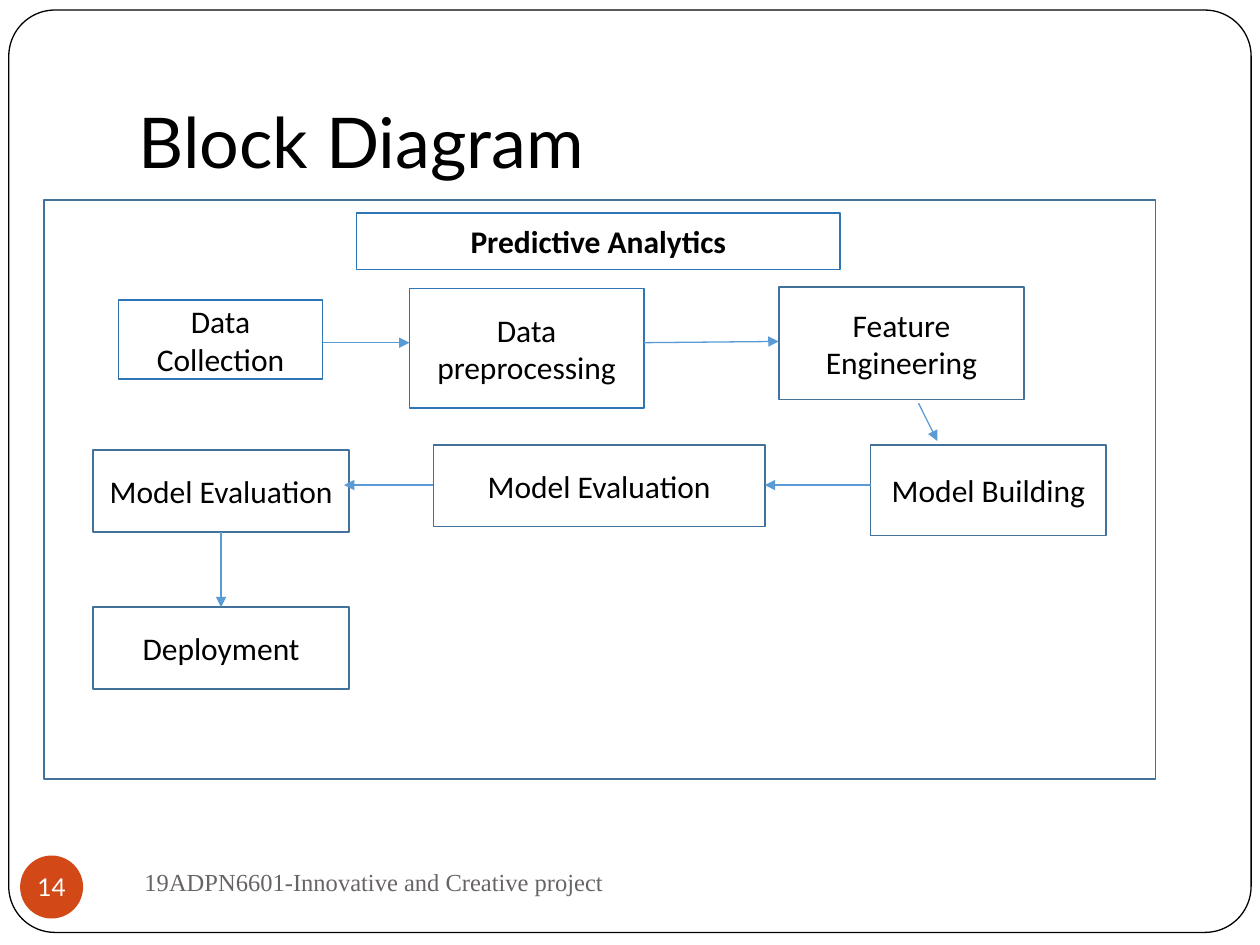
"""Build the block diagram slide of a predictive analytics workflow."""
from lxml.etree import SubElement
from pptx import Presentation
from pptx.dml.color import RGBColor
from pptx.enum.shapes import MSO_CONNECTOR as Link, MSO_SHAPE as Form
from pptx.enum.text import MSO_ANCHOR as Anchor, MSO_AUTO_SIZE as Fit, PP_ALIGN as Align
from pptx.oxml.ns import qn
from pptx.util import Inches, Pt

BLACK = RGBColor(0x00, 0x00, 0x00)
WHITE = RGBColor(0xFF, 0xFF, 0xFF)
BLUE = RGBColor(0x2E, 0x75, 0xB5)
STEEL = RGBColor(0x42, 0x71, 0x9B)
SKY = RGBColor(0x5B, 0x9B, 0xD5)
ORANGE = RGBColor(0xD3, 0x48, 0x17)
GREY = RGBColor(0x69, 0x64, 0x64)

COLUMNS, ROWS = 100, 75
WIDTH, HEIGHT = Inches(10), Inches(7.5)

TITLE = "Block Diagram"
FOOTER = " 19ADPN6601-Innovative and Creative project"
PAGE = "14"
HEADING = ("Predictive Analytics", (28.3, 16.9, 38.4, 4.5))
STAGES = {
    "collect": ("Data Collection", (9.4, 23.8, 16.2, 6.3), WHITE, BLUE),
    "prepare": ("Data preprocessing", (32.5, 22.9, 18.6, 9.5), WHITE, BLUE),
    "engineer": ("Feature Engineering", (61.8, 22.8, 19.5, 8.9), None, STEEL),
    "build": ("Model Building", (69.1, 35.3, 18.7, 7.2), WHITE, STEEL),
    "evaluate": ("Model Evaluation", (34.4, 35.3, 26.3, 6.5), None, STEEL),
    "review": ("Model Evaluation", (7.4, 35.7, 20.3, 6.5), None, STEEL),
    "deploy": ("Deployment", (7.4, 48.2, 20.3, 6.5), None, STEEL),
}
TOP_FLOW, LOWER_FLOW = 27.2, 38.5
RIGHTWARD = [("collect", "prepare", 0), ("prepare", "engineer", -0.1)]
LEFTWARD = [("build", "evaluate", 0), ("evaluate", "review", 0.4)]
TURN = ((72.9, 32), (74.4, 35))


def place(left, top, width, height):
    """Convert grid columns and rows to slide lengths."""
    across, down = WIDTH / COLUMNS, HEIGHT / ROWS
    return int(left * across), int(top * down), int(width * across), int(height * down)


def write(holder, text, *, font="Calibri", size=18, color=BLACK, bold=False,
          align=Align.CENTER, anchor=Anchor.MIDDLE, margins=(0.1, 0.05, 0.1, 0.05)):
    """Put formatted text into a shape."""
    frame = holder.text_frame
    frame.word_wrap = True
    frame.auto_size = Fit.NONE
    frame.vertical_anchor = anchor
    (frame.margin_left, frame.margin_top,
     frame.margin_right, frame.margin_bottom) = map(Inches, margins)
    paragraph = frame.paragraphs[0]
    paragraph.alignment = align
    run = paragraph.add_run()
    run.text = text
    run.font.name, run.font.size, run.font.bold = font, Pt(size), bold
    run.font.color.rgb = color


def add_block(slide, area, fill=None, line=None, form=Form.RECTANGLE, weight=1):
    """Add a flat shape with the given fill and outline."""
    block = slide.shapes.add_shape(form, *place(*area))
    block.shadow.inherit = False
    if fill is None:
        block.fill.background()
    else:
        block.fill.solid()
        block.fill.fore_color.rgb = fill
    if line is None:
        block.line.fill.background()
    else:
        block.line.color.rgb = line
        block.line.width = Pt(weight)
    return block


def add_arrow(slide, start, end):
    """Add a straight arrow between two grid points."""
    arrow = slide.shapes.add_connector(Link.STRAIGHT, *place(*start, *end))
    arrow.line.color.rgb = SKY
    arrow.line.width = Pt(0.75)
    properties = arrow._element.spPr
    SubElement(properties.find(qn("a:ln")), qn("a:tailEnd"), type="triangle")
    SubElement(properties, qn("a:effectLst"))


def add_flow(slide):
    """Link the stages in their working order."""
    areas = {key: stage[1] for key, stage in STAGES.items()}
    for source, target, rise in RIGHTWARD:
        left, _, width, _ = areas[source]
        add_arrow(slide, (left + width, TOP_FLOW), (areas[target][0], TOP_FLOW + rise))
    for source, target, overlap in LEFTWARD:
        left, _, width, _ = areas[target]
        add_arrow(slide, (areas[source][0], LOWER_FLOW),
                  (left + width - overlap, LOWER_FLOW))
    add_arrow(slide, *TURN)
    left, top, width, height = areas["review"]
    middle = left + width / 2
    add_arrow(slide, (middle, top + height), (middle, areas["deploy"][1]))


def main():
    """Assemble and save the slide."""
    deck = Presentation()
    deck.slide_width, deck.slide_height = WIDTH, HEIGHT
    slide = deck.slides.add_slide(deck.slide_layouts[5])

    border = add_block(slide, (0.7, 0.8, 98.6, 73.2), WHITE, BLACK,
                       Form.ROUNDED_RECTANGLE, 0.75)
    border.adjustments[0] = 0.05
    add_block(slide, (3.5, 15.9, 88.2, 45.9), line=STEEL)

    title = slide.shapes.title
    title.left, title.top, title.width, title.height = place(10, 3, 85, 12.5)
    write(title, TITLE, font="Lato", size=40, align=Align.LEFT,
          anchor=Anchor.BOTTOM, margins=(0.1, 0.05, 0.1, 0.1))
    slide.shapes._spTree.append(title._element)

    heading, area = HEADING
    write(add_block(slide, area, WHITE, BLUE), heading, bold=True)
    for label, area, fill, line in STAGES.values():
        write(add_block(slide, area, fill, line), label)
    add_flow(slide)

    badge = add_block(slide, (1.6, 67.9, 5, 5), ORANGE, form=Form.OVAL)
    write(badge, PAGE, font="Lato", size=14, color=WHITE, margins=(0, 0, 0, 0))
    footer = slide.shapes.add_textbox(*place(10, 67.5, 49.4, 5))
    write(footer, FOOTER, font="Times New Roman", size=14, color=GREY, align=Align.LEFT)

    deck.save("out.pptx")


if __name__ == "__main__":
    main()
